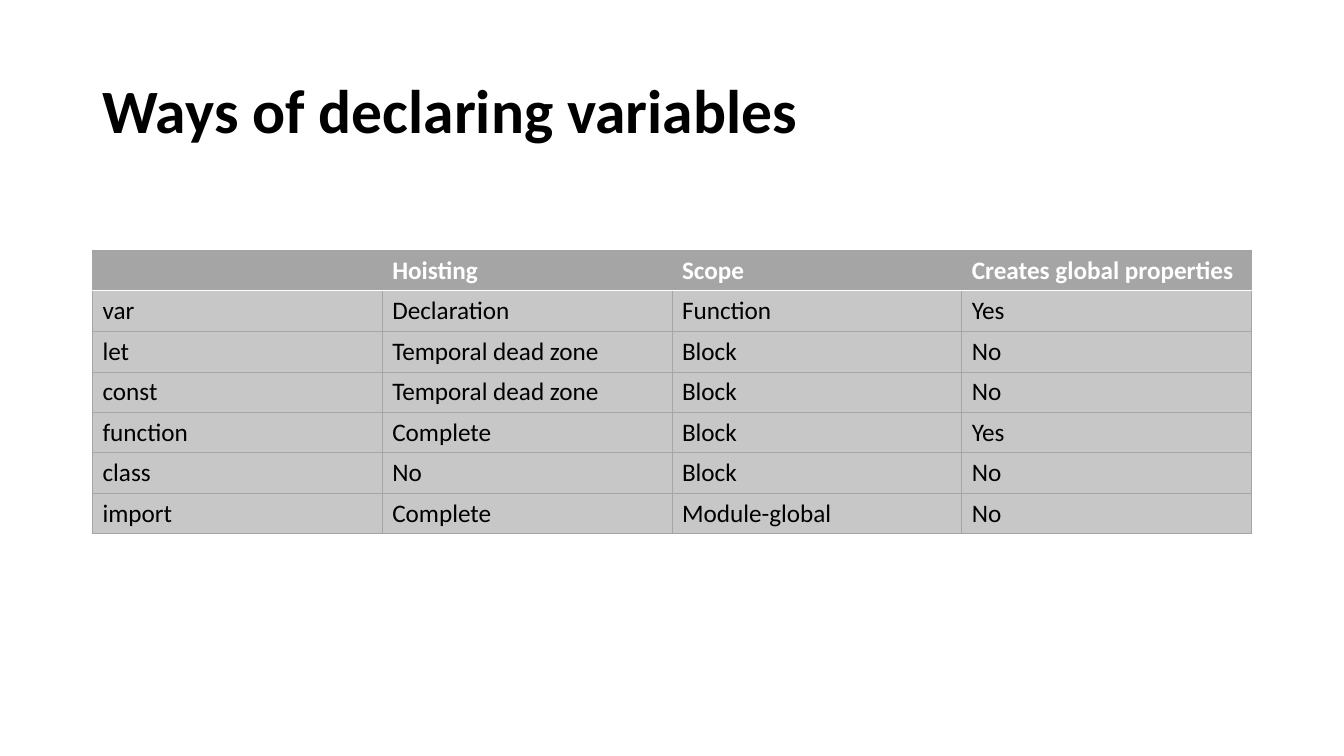
from lxml import etree
from pptx import Presentation
from pptx import util as u
from pptx.dml.color import RGBColor
from pptx.enum import text
from pptx.oxml.ns import qn

TITLE = "Ways of declaring variables"
ROWS = [
    ("", "Hoisting", "Scope", "Creates global properties"),
    ("var", "Declaration", "Function", "Yes"),
    ("let", "Temporal dead zone", "Block", "No"),
    ("const", "Temporal dead zone", "Block", "No"),
    ("function", "Complete", "Block", "Yes"),
    ("class", "No", "Block", "No"),
    ("import", "Complete", "Module-global", "No"),
]

BLACK = RGBColor(0x00, 0x00, 0x00)
WHITE = RGBColor(0xFF, 0xFF, 0xFF)
GREY = RGBColor(0xA5, 0xA5, 0xA5)
LIGHT = RGBColor(0xC7, 0xC7, 0xC7)

LEFT, WIDTH = u.Cm(2.33), u.Cm(29.21)
TITLE_TOP, TITLE_HEIGHT = u.Cm(1.01), u.Cm(3.68)
TABLE_TOP, ROW_HEIGHT = u.Cm(6.31), u.Cm(1.02)

TITLE_FONT = {"name": "Calibri", "size": u.Pt(44), "bold": True}
HEAD_FONT = {"name": "Calibri", "size": u.Pt(18), "bold": True}
BODY_FONT = {**HEAD_FONT, "bold": False}


def write(p, words, font, color):
    """Add one formatted run to a paragraph."""
    r = p.add_run()
    r.text = words
    for key, value in font.items():
        setattr(r.font, key, value)
    r.font.color.rgb = color


def set_borders(cell, edges):
    """Draw cell edges from (tag, colour, width) in schema order."""
    tcPr = cell._tc.get_or_add_tcPr()
    for i, (tag, color, width) in enumerate(edges):
        ln = etree.Element(qn("a:" + tag), w=str(u.Pt(width)))
        fill = etree.SubElement(ln, qn("a:solidFill"))
        etree.SubElement(fill, qn("a:srgbClr"), val=str(color))
        tcPr.insert(i, ln)


def add_title(s):
    """Place the slide title."""
    tf = s.shapes.add_textbox(LEFT, TITLE_TOP, WIDTH, TITLE_HEIGHT).text_frame
    tf.word_wrap = True
    tf.vertical_anchor = text.MSO_ANCHOR.MIDDLE
    p = tf.paragraphs[0]
    p.line_spacing = 0.9
    write(p, TITLE, TITLE_FONT, BLACK)


def add_comparison(s):
    """Place the table that compares the declarations."""
    table = s.shapes.add_table(len(ROWS), len(ROWS[0]), LEFT, TABLE_TOP,
                               WIDTH, ROW_HEIGHT * len(ROWS)).table
    table.horz_banding = False
    thin, rule = (GREY, 0.5), (WHITE, 1)
    for i, row in enumerate(ROWS):
        head = i == 0
        font, color = (HEAD_FONT, WHITE) if head else (BODY_FONT, BLACK)
        for j, words in enumerate(row):
            cell = table.cell(i, j)
            cell.vertical_anchor = text.MSO_ANCHOR.MIDDLE
            cell.fill.solid()
            cell.fill.fore_color.rgb = GREY if head else LIGHT
            set_borders(cell, [("lnL", *thin), ("lnR", *thin),
                               ("lnT", *(rule if i == 1 else thin)),
                               ("lnB", *(rule if head else thin))])
            if words:
                write(cell.text_frame.paragraphs[0], words, font, color)


prs = Presentation()
prs.slide_width, prs.slide_height = u.Cm(33.87), u.Cm(19.05)
s = prs.slides.add_slide(prs.slide_layouts[6])
add_title(s)
add_comparison(s)
prs.save("out.pptx")
